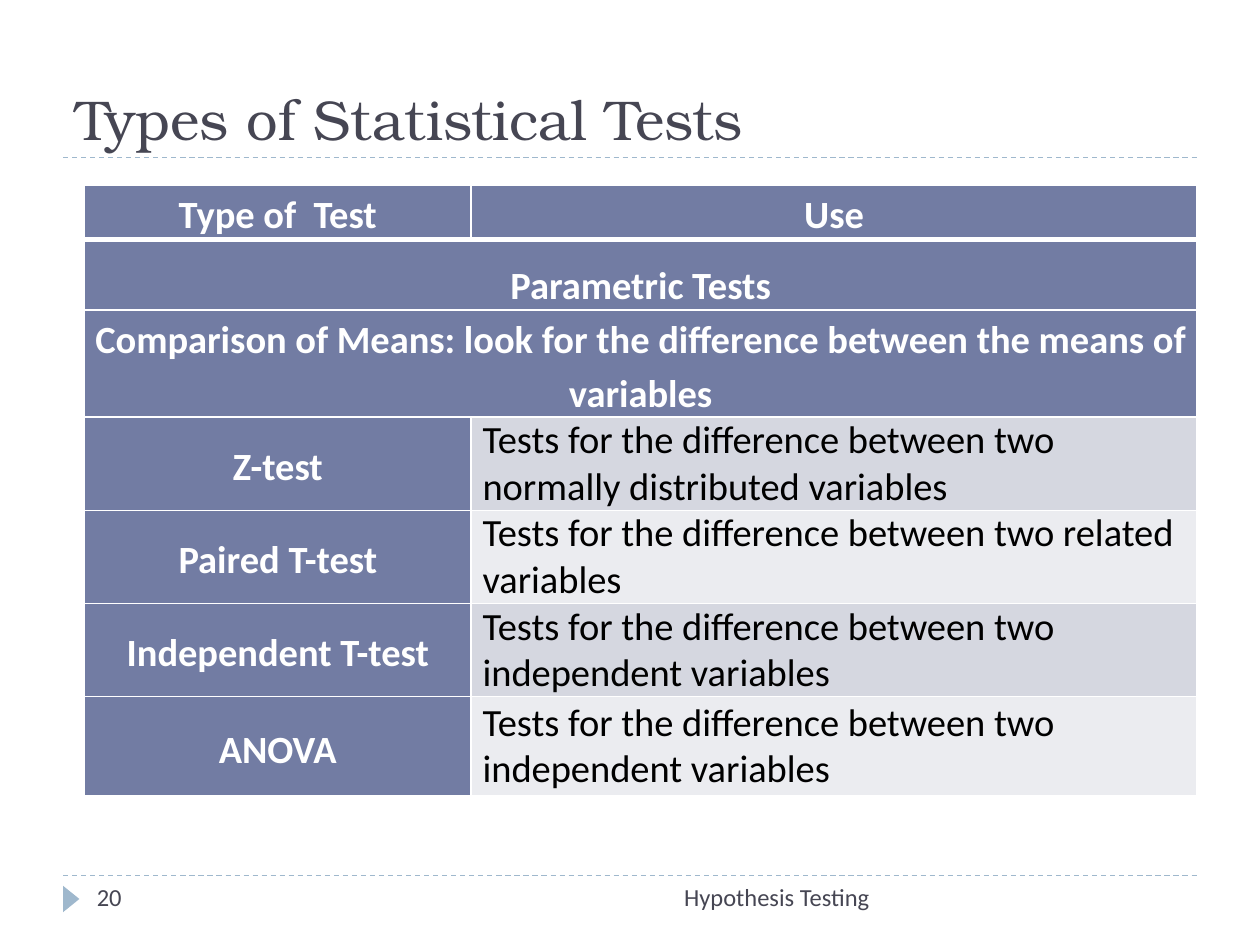
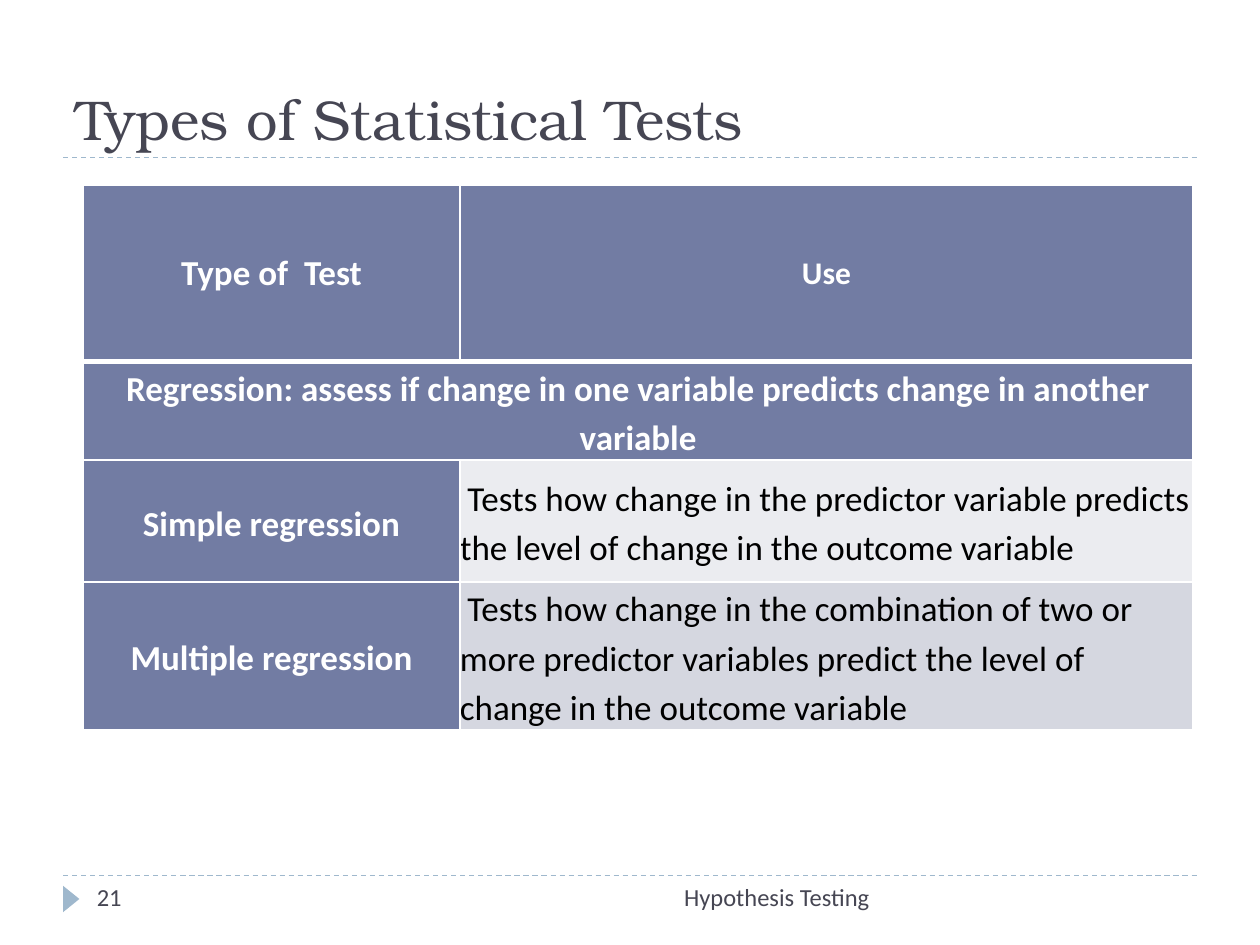
import dataclasses

import lxml.etree
import pptx
import pptx.dml.color
import pptx.enum.dml
import pptx.enum.shapes
import pptx.enum.text
import pptx.oxml
import pptx.oxml.ns
import pptx.util

Inches = pptx.util.Inches
Pt = pptx.util.Pt
ALIGN = pptx.enum.text.PP_ALIGN
ANCHOR = pptx.enum.text.MSO_ANCHOR
NS = pptx.oxml.ns.nsdecls("a")


@dataclasses.dataclass(frozen=True)
class Theme:
    ink: str = "464653"
    rule: str = "9FB8CD"
    head: str = "727CA3"
    bands: tuple = ("EBECF0", "D5D7E0")
    white: str = "FFFFFF"
    black: str = "000000"
    serif: str = "TeX Gyre Bonum"
    sans: str = "Calibri"
    title: int = 32
    foot: int = 14
    large: int = 22
    mid: int = 20
    small: int = 18


THEME = Theme()


def color(code):
    return pptx.dml.color.RGBColor.from_string(code)


def write(frame, text, size, ink=THEME.ink, face=THEME.sans, bold=False,
          align=ALIGN.LEFT, space=1.0, left=0, first=0):
    frame.word_wrap = True
    para = frame.paragraphs[0]
    para.alignment = align
    para.line_spacing = space
    props = para._p.get_or_add_pPr()
    props.set("marL", str(Inches(left)))
    props.set("indent", str(Inches(first)))
    run = para.add_run()
    run.text = text
    font = run.font
    font.name, font.size, font.bold = face, Pt(size), bold
    font.color.rgb = color(ink)


def label(slide, box, text, size, anchor=ANCHOR.TOP, **form):
    frame = slide.shapes.add_textbox(*map(Inches, box)).text_frame
    frame.vertical_anchor = anchor
    write(frame, text, size, **form)


def divide(slide, left, top, width):
    line = slide.shapes.add_connector(
        pptx.enum.shapes.MSO_CONNECTOR.STRAIGHT,
        Inches(left), Inches(top), Inches(left + width), Inches(top))
    line.line.color.rgb = color(THEME.rule)
    line.line.width = Pt(0.75)
    line.line.dash_style = pptx.enum.dml.MSO_LINE.DASH
    lxml.etree.SubElement(line._element.spPr, pptx.oxml.ns.qn("a:effectLst"))


def header(slide, box, text):
    left, top, width, height = box
    label(slide, box, text, THEME.title, ANCHOR.BOTTOM, face=THEME.serif)
    divide(slide, left, top + height, width)


def footer(slide, box, number):
    left, top, width, height = box
    divide(slide, left, top, width)
    mark = slide.shapes.add_shape(
        pptx.enum.shapes.MSO_SHAPE.ISOSCELES_TRIANGLE,
        Inches(left - 0.04), Inches(top + 0.12), Inches(0.21), Inches(0.13))
    mark.rotation = 90
    mark.shadow.inherit = False
    mark.fill.solid()
    mark.fill.fore_color.rgb = color(THEME.rule)
    mark.line.fill.background()
    label(slide, (left + 2.67, top, 3.83, height), "Hypothesis Testing",
          THEME.foot, align=ALIGN.RIGHT)
    label(slide, (left + 0.17, top, 2.17, height), str(number), THEME.foot)


def border(cell, **widths):
    props = cell._tc.get_or_add_tcPr()
    for side in "LRTB":
        width = Pt(widths.get(side, 1))
        props.append(pptx.oxml.parse_xml(
            f'<a:ln{side} {NS} w="{width}"><a:solidFill>'
            f'<a:srgbClr val="{THEME.white}"/></a:solidFill></a:ln{side}>'))


def style(cell, fill, row):
    edges = {0: {"B": 3}, 1: {"T": 3}}
    border(cell, **edges.get(row, {}))
    cell.fill.solid()
    cell.fill.fore_color.rgb = color(fill)
    cell.margin_left = cell.margin_right = 0
    cell.margin_top = cell.margin_bottom = 0
    cell.vertical_anchor = ANCHOR.MIDDLE


def grid(slide, left, top, cols, rows, size, body, heads):
    shape = slide.shapes.add_table(
        len(rows), len(cols), Inches(left), Inches(top),
        Inches(sum(cols)), Inches(sum(row[0] for row in rows)))
    table = shape.table
    table.first_row = table.horz_banding = False
    for col, width in zip(table.columns, cols):
        col.width = Inches(width)
    for r, (height, space, *texts) in enumerate(rows):
        table.rows[r].height = Inches(height)
        whole = len(texts) == 1
        for c in range(len(cols)):
            plain = r > 0 and c > 0 and not whole
            style(table.cell(r, c), THEME.bands[r % 2] if plain else THEME.head, r)
        if whole:
            table.cell(r, 0).merge(table.cell(r, len(cols) - 1))
        for c, text in enumerate(texts):
            frame = table.cell(r, c).text_frame
            if r > 0 and c > 0:
                write(frame, text, size, ink=THEME.black, **body)
            else:
                write(frame, text, heads[c] if r == 0 else size, ink=THEME.white,
                      bold=True, align=ALIGN.CENTER, space=space)


def page(deck, number, **table):
    slide = deck.slides.add_slide(deck.slide_layouts[6])
    header(slide, (0.5, 0.17, 9, 1.08), "Types of Statistical Tests")
    footer(slide, (0.5, 6.95, 9, 0.4), number)
    grid(slide, top=1.47, **table)


def main():
    deck = pptx.Presentation()
    deck.slide_width, deck.slide_height = Inches(10), Inches(7.5)
    titles = ("Type of  Test", "Use")
    tests = "Tests for the difference between two "
    change = "Tests how change in the "
    page(deck, 20, left=0.67, cols=(3.07, 5.76), size=THEME.large,
         body={"left": 0.09}, heads=(THEME.large, THEME.large), rows=[
             (0.43, 1.15, *titles),
             (0.56, 1.5, "Parametric Tests"),
             (0.85, 1.15, "Comparison of Means: look for the difference "
                          "between the means of variables"),
             (0.74, 1.15, "Z-test", tests + "normally distributed variables"),
             (0.74, 1.15, "Paired T-test", tests + "related variables"),
             (0.74, 1.15, "Independent T-test", tests + "independent variables"),
             (0.79, 1.15, "ANOVA", tests + "independent variables")])
    page(deck, 21, left=0.66, cols=(2.99, 5.82), size=THEME.mid,
         body={"space": 1.15, "first": 0.06}, heads=(THEME.mid, THEME.small), rows=[
             (1.4, 1.0, *titles),
             (0.78, 1.15, "Regression: assess if change in one variable "
                          "predicts change in another variable"),
             (0.97, 1.15, "Simple regression",
              change + "predictor variable predicts the level of change "
                       "in the outcome variable"),
             (1.17, 1.15, "Multiple regression",
              change + "combination of two or more predictor variables "
                       "predict the level of change in the outcome variable")])
    deck.save("out.pptx")


if __name__ == "__main__":
    main()
